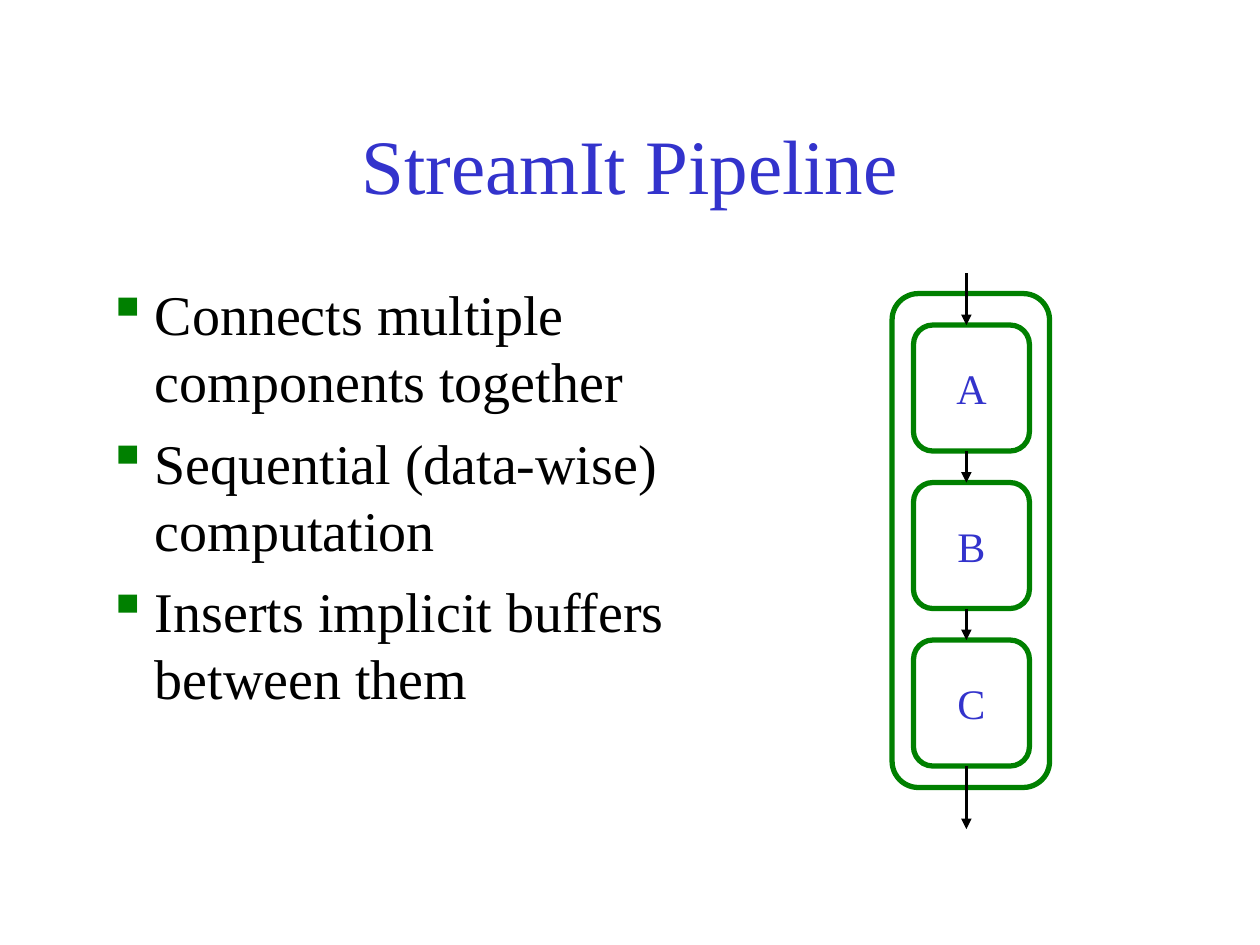
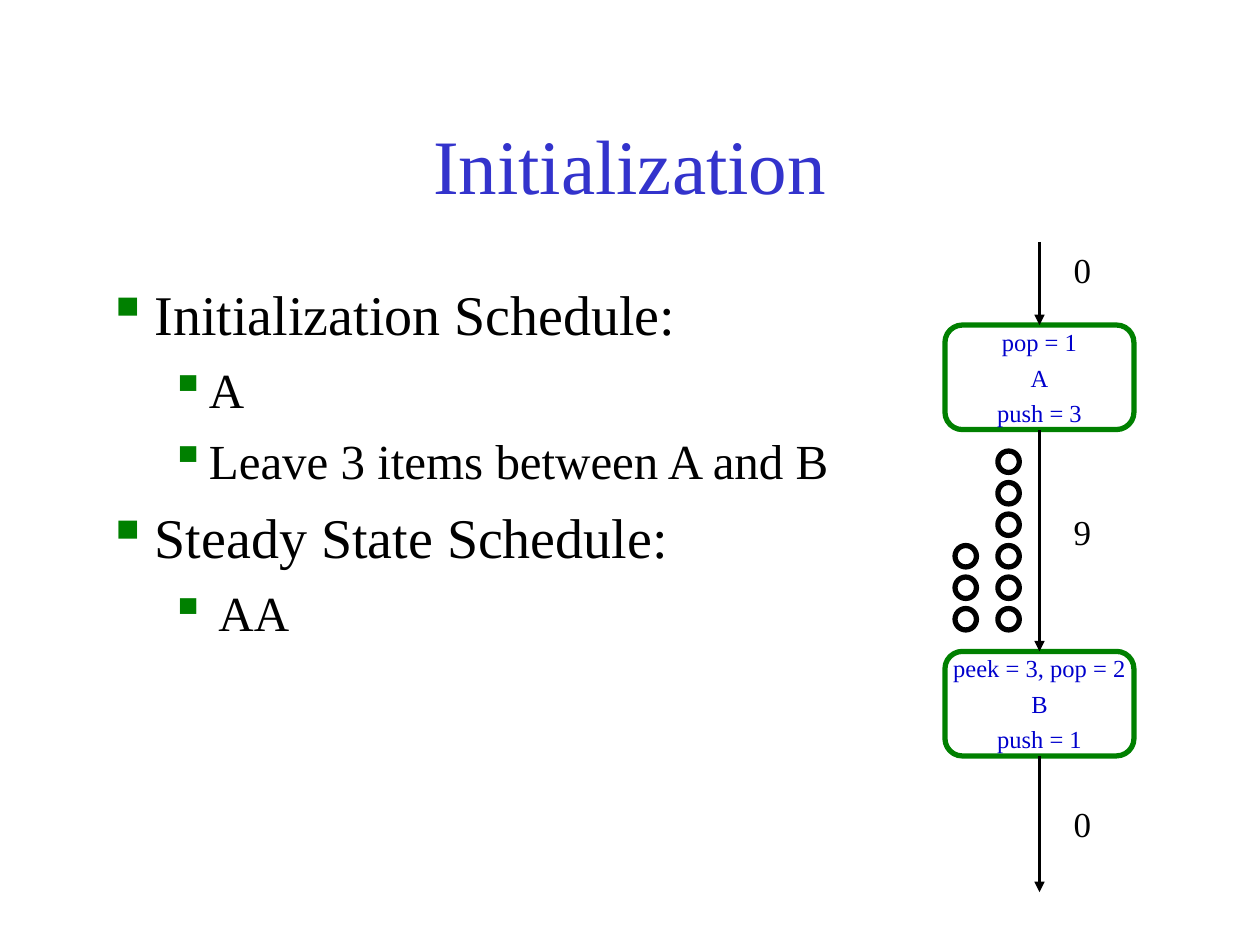
from dataclasses import dataclass

from lxml import etree
from pptx import Presentation
from pptx.dml.color import RGBColor
from pptx.enum.shapes import MSO_CONNECTOR as Connector, MSO_SHAPE as Preset
from pptx.enum.text import MSO_ANCHOR as Anchor, MSO_AUTO_SIZE as AutoSize, PP_ALIGN as Align
from pptx.oxml.ns import qn
from pptx.shapes.autoshape import Shape
from pptx.shapes.connector import Connector as Line
from pptx.slide import Slide
from pptx.text.text import TextFrame, _Paragraph as Paragraph
from pptx.util import Inches, Pt

FONT = "Times New Roman"
BLUE, DEEP_BLUE, GREEN, BLACK = "3333CC", "0000CC", "008000", "000000"
TOP, BOTTOM = 0, 2


@dataclass(frozen=True)
class Box:
    left: float
    top: float
    width: float
    height: float

    @property
    def bottom(self) -> float:
        return self.top + self.height

    def lengths(self) -> list:
        return [Inches(value) for value in (self.left, self.top, self.width, self.height)]


@dataclass(frozen=True)
class TextStyle:
    size: float
    color: str
    space_before: float = 0
    align: Align = Align.CENTER


@dataclass(frozen=True)
class BulletLevel:
    style: TextStyle
    margin: float
    hanging: float


@dataclass(frozen=True)
class Bullet:
    text: str
    level: int = 0


TITLE_BOX = Box(0.75, 0.67, 8.5, 1.25)
TITLE_STYLE = TextStyle(44, BLUE)
NODE_STYLE = TextStyle(24, BLUE, 6)
FILTER_STYLE = TextStyle(14, DEEP_BLUE, 3.5)
COUNT_STYLE = TextStyle(20, BLACK, 5)
BULLET_LEVELS = [
    BulletLevel(TextStyle(32, BLACK, 8, Align.LEFT), 0.38, 0.38),
    BulletLevel(TextStyle(28, BLACK, 7, Align.LEFT), 0.81, 0.31),
]


def rgb(color: str) -> RGBColor:
    return RGBColor.from_string(color)


def format_paragraph(paragraph: Paragraph, style: TextStyle) -> None:
    paragraph.alignment = style.align
    paragraph.space_before = Pt(style.space_before)
    for run in paragraph.runs:
        run.font.name = FONT
        run.font.size = Pt(style.size)
        run.font.color.rgb = rgb(style.color)


def fill_text(frame: TextFrame, text: str, style: TextStyle, wrap: bool = False) -> None:
    frame.text = text
    frame.word_wrap = wrap
    for paragraph in frame.paragraphs:
        format_paragraph(paragraph, style)


def add_title(slide: Slide, text: str) -> None:
    frame = slide.shapes.add_textbox(*TITLE_BOX.lengths()).text_frame
    fill_text(frame, text, TITLE_STYLE, wrap=True)
    frame.vertical_anchor = Anchor.MIDDLE


def add_bullet_mark(paragraph: Paragraph, level: BulletLevel) -> None:
    properties = paragraph._p.get_or_add_pPr()
    properties.set("marL", str(Inches(level.margin)))
    properties.set("indent", str(-Inches(level.hanging)))
    color = etree.SubElement(properties, qn("a:buClr"))
    etree.SubElement(color, qn("a:srgbClr"), val=GREEN)
    etree.SubElement(properties, qn("a:buChar"), char="▪")


def add_bullets(slide: Slide, width: float, bullets: list[Bullet]) -> None:
    frame = slide.shapes.add_textbox(*Box(0.75, 2.17, width, 4.5).lengths()).text_frame
    frame.word_wrap = True
    frame.text = "\n".join(bullet.text for bullet in bullets)
    for paragraph, bullet in zip(frame.paragraphs, bullets):
        level = BULLET_LEVELS[bullet.level]
        paragraph.level = bullet.level
        format_paragraph(paragraph, level.style)
        add_bullet_mark(paragraph, level)


def add_outline(slide: Slide, preset: Preset, box: Box, color: str = GREEN) -> Shape:
    """Add an unfilled shape with a thick outline."""
    shape = slide.shapes.add_shape(preset, *box.lengths())
    shape.shadow.inherit = False
    shape.fill.background()
    shape.line.color.rgb = rgb(color)
    shape.line.width = Pt(3)
    return shape


def add_node(slide: Slide, preset: Preset, box: Box, text: str, style: TextStyle) -> Shape:
    node = add_outline(slide, preset, box)
    fill_text(node.text_frame, text, style)
    node.text_frame.vertical_anchor = Anchor.MIDDLE
    return node


def add_down_arrow(slide: Slide, x: float, start: float, end: float) -> Line:
    arrow = slide.shapes.add_connector(
        Connector.STRAIGHT, Inches(x), Inches(start), Inches(x), Inches(end))
    arrow.line.color.rgb = rgb(BLACK)
    arrow.line.width = Pt(1.5)
    etree.SubElement(arrow.line._get_or_add_ln(), qn("a:tailEnd"), type="triangle")
    etree.SubElement(arrow._element.spPr, qn("a:effectLst"))
    return arrow


def add_count(slide: Slide, top: float, text: str) -> None:
    frame = slide.shapes.add_textbox(*Box(8.42, top, 0.34, 0.44).lengths()).text_frame
    fill_text(frame, text, COUNT_STYLE)
    frame.auto_size = AutoSize.SHAPE_TO_FIT_TEXT


def add_item_column(slide: Slide, left: float, count: int) -> None:
    """Stack buffered items upwards from just above filter B."""
    for index in range(count):
        item = Box(left, 4.83 - 0.25 * index, 0.17, 0.17)
        add_outline(slide, Preset.OVAL, item, BLACK)


def build_pipeline(slide: Slide) -> None:
    add_title(slide, "StreamIt Pipeline")
    add_bullets(slide, 5.42, [
        Bullet("Connects multiple components together"),
        Bullet("Sequential (data-wise) computation"),
        Bullet("Inserts implicit buffers between them"),
    ])
    rounded = Preset.FLOWCHART_ALTERNATE_PROCESS
    add_outline(slide, rounded, Box(7.08, 2.33, 1.25, 3.92))
    boxes = [Box(7.25, 2.58 + 1.25 * index, 0.92, 1) for index in range(3)]
    for box, name in zip(boxes, "ABC"):
        add_node(slide, rounded, box, name, NODE_STYLE)
    starts = [2.17] + [box.bottom for box in boxes]
    ends = [box.top for box in boxes] + [6.58]
    for start, end in zip(starts, ends):
        add_down_arrow(slide, 7.67, start, end)


def build_initialization(slide: Slide) -> None:
    add_title(slide, "Initialization")
    add_bullets(slide, 6.42, [
        Bullet("Initialization Schedule:"),
        Bullet("A", 1),
        Bullet("Leave 3 items between A and B", 1),
        Bullet("Steady State Schedule:"),
        Bullet(" AA", 1),
    ])
    box_a, box_b = [Box(7.5, top, 1.5, 0.83) for top in (2.58, 5.17)]
    filter_a = add_node(slide, Preset.ROUNDED_RECTANGLE, box_a,
                        "pop = 1\nA\npush = 3", FILTER_STYLE)
    filter_b = add_node(slide, Preset.ROUNDED_RECTANGLE, box_b,
                        "peek = 3, pop = 2\nB\npush = 1", FILTER_STYLE)

    center = box_a.left + box_a.width / 2
    arrow_in = add_down_arrow(slide, center, 1.92, box_a.top)
    arrow_between = add_down_arrow(slide, center, box_a.bottom, box_b.top)
    arrow_out = add_down_arrow(slide, center, box_b.bottom, 7.08)
    arrow_in.end_connect(filter_a, TOP)
    arrow_between.begin_connect(filter_a, BOTTOM)
    arrow_between.end_connect(filter_b, TOP)
    arrow_out.begin_connect(filter_b, BOTTOM)

    for top, count in ((1.92, "0"), (4, "9"), (6.32, "0")):
        add_count(slide, top, count)
    add_item_column(slide, 7.92, 6)
    add_item_column(slide, 7.58, 3)


def main() -> None:
    presentation = Presentation()
    presentation.slide_width, presentation.slide_height = Inches(10), Inches(7.5)
    blank_layout = presentation.slide_layouts[6]
    for build in (build_pipeline, build_initialization):
        build(presentation.slides.add_slide(blank_layout))
    presentation.save("out.pptx")


if __name__ == "__main__":
    main()
